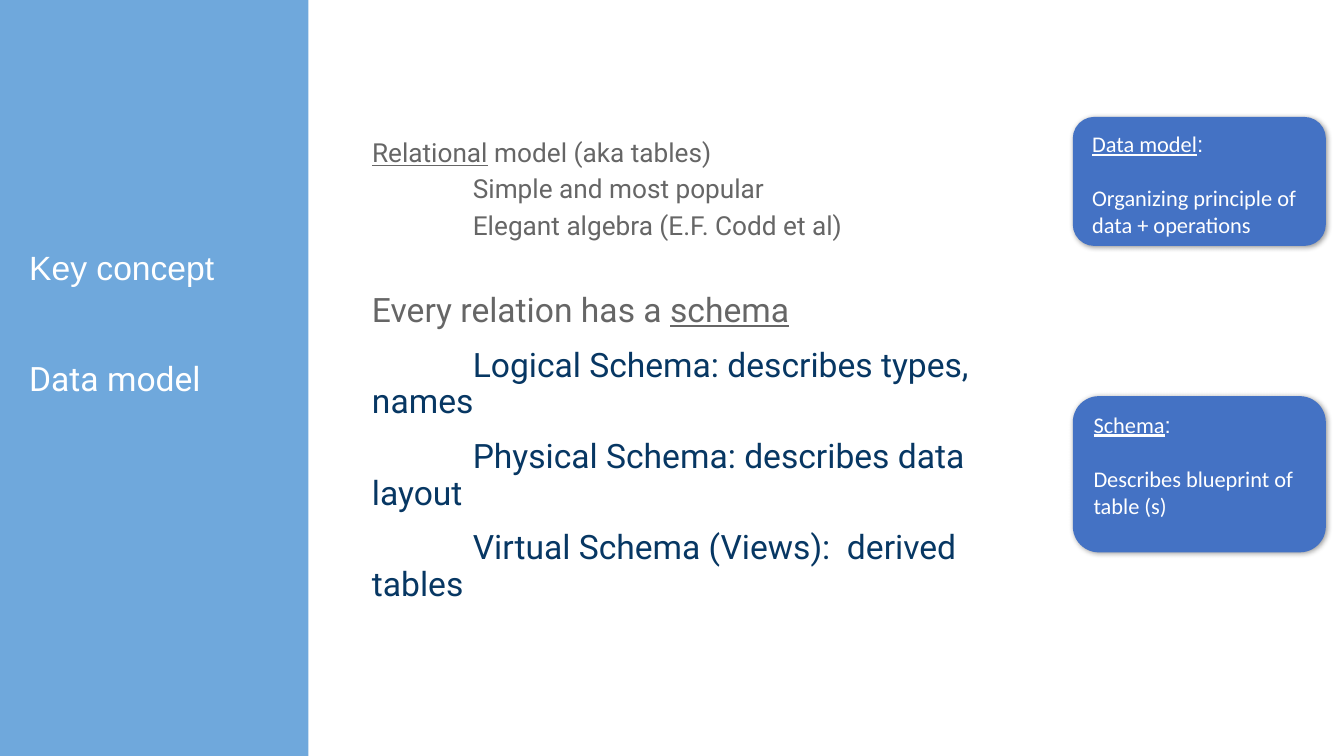
from lxml.etree import SubElement
from pptx import Presentation
from pptx.dml.color import RGBColor
from pptx.enum.shapes import MSO_SHAPE
from pptx.enum.text import MSO_ANCHOR, PP_ALIGN
from pptx.oxml.ns import qn
from pptx.util import Inches, Pt

WHITE = "FFFFFF"
GRAY = "666666"
NAVY = "073763"


def color(hex_value):
    return RGBColor.from_string(hex_value)


def set_frame(shape, insets, anchor=MSO_ANCHOR.TOP):
    frame = shape.text_frame
    frame.word_wrap = True
    frame.vertical_anchor = anchor
    left, top, right, bottom = map(Inches, insets)
    frame.margin_left, frame.margin_top = left, top
    frame.margin_right, frame.margin_bottom = right, bottom
    return frame


def add_text_area(slide, box, anchor=MSO_ANCHOR.TOP, bottom_inset=0.13):
    area = slide.shapes.add_textbox(*map(Inches, box))
    return set_frame(area, (0.13, 0.13, 0.13, bottom_inset), anchor)


def write_line(frame, parts, size, hex_value, font="Roboto", spacing=1.0,
               before=0, indent=0):
    is_first = not frame.paragraphs[0].runs
    line = frame.paragraphs[0] if is_first else frame.add_paragraph()
    line.alignment = PP_ALIGN.LEFT
    line.line_spacing = spacing
    line.space_before = Pt(0 if is_first else before)
    if indent:
        properties = line._p.get_or_add_pPr()
        properties.set("marL", "0")
        properties.set("indent", str(Inches(indent)))
    line.font.size = Pt(size)
    line.font.name = font
    line.font.color.rgb = color(hex_value)
    for text, underlined in parts:
        run = line.add_run()
        run.text = text
        if underlined:
            run.font.underline = True
    return line


def add_block(slide, box, hex_value, shape_type=MSO_SHAPE.RECTANGLE):
    block = slide.shapes.add_shape(shape_type, *map(Inches, box))
    block.fill.solid()
    block.fill.fore_color.rgb = color(hex_value)
    block.line.fill.background()
    block.shadow.inherit = False
    return block


def add_soft_shadow(block):
    effects = block._element.spPr.find(qn("a:effectLst"))
    shadow = SubElement(effects, qn("a:outerShdw"), blurRad=str(Pt(4)),
                        dist=str(Pt(1)), dir=str(45 * 60000))
    tint = SubElement(shadow, qn("a:srgbClr"), val="000000")
    SubElement(tint, qn("a:alpha"), val="40000")


def add_definition(slide, top, height, term, meaning):
    card = add_block(slide, (10.64, top, 2.51, height), "4472C4",
                     MSO_SHAPE.ROUNDED_RECTANGLE)
    add_soft_shadow(card)
    frame = set_frame(card, (0.13, 0.07, 0.13, 0.07))
    heading = write_line(frame, [(term, True), (":", False)], 16, WHITE, "Calibri")
    heading.runs[1].font.name = "Arial"
    write_line(frame, [(meaning, False)], 16, WHITE, "Calibri", before=19.5)


def add_relational_model(slide):
    frame = add_text_area(slide, (3.56, 1.18, 9.32, 4.4))
    write_line(frame, [("Relational", True), (" model (aka tables)", False)],
               18.7, GRAY, spacing=1.15)
    for trait in ("Simple and most popular", "Elegant algebra (E.F. Codd et al)"):
        write_line(frame, [(trait, False)], 18.7, GRAY, spacing=1.15, indent=1)


def add_schemas(slide):
    frame = add_text_area(slide, (3.56, 2.43, 6.87, 4.37), MSO_ANCHOR.MIDDLE, 0.46)
    write_line(frame, [("Every relation has a ", False), ("schema", True)],
               24, GRAY, spacing=0.9)
    for schema in ("Logical Schema: describes types, names",
                   "Physical Schema: describes data layout",
                   "Virtual Schema (Views):  derived tables"):
        write_line(frame, [(schema, False)], 24, NAVY, spacing=0.9,
                   before=13.3, indent=1)


def main():
    deck = Presentation()
    deck.slide_width, deck.slide_height = Inches(13.33), Inches(7.5)
    slide = deck.slides.add_slide(deck.slide_layouts[6])
    slide.background.fill.solid()
    slide.background.fill.fore_color.rgb = color("6FA8DC")
    add_block(slide, (3.06, 0, 10.27, 7.5), WHITE)

    add_relational_model(slide)
    for title, box, font in (("Key concept", (0.16, 2.32, 2.75, 1.62), "Arial"),
                             ("Data model", (0.16, 3.42, 2.6, 1.25), "Roboto")):
        write_line(add_text_area(slide, box), [(title, False)], 24, WHITE, font)
    add_definition(slide, 1.16, 1.28, "Data model",
                   "Organizing principle of data + operations")
    add_definition(slide, 3.93, 1.55, "Schema", "Describes blueprint of table (s)")
    add_schemas(slide)
    deck.save("out.pptx")


if __name__ == "__main__":
    main()
